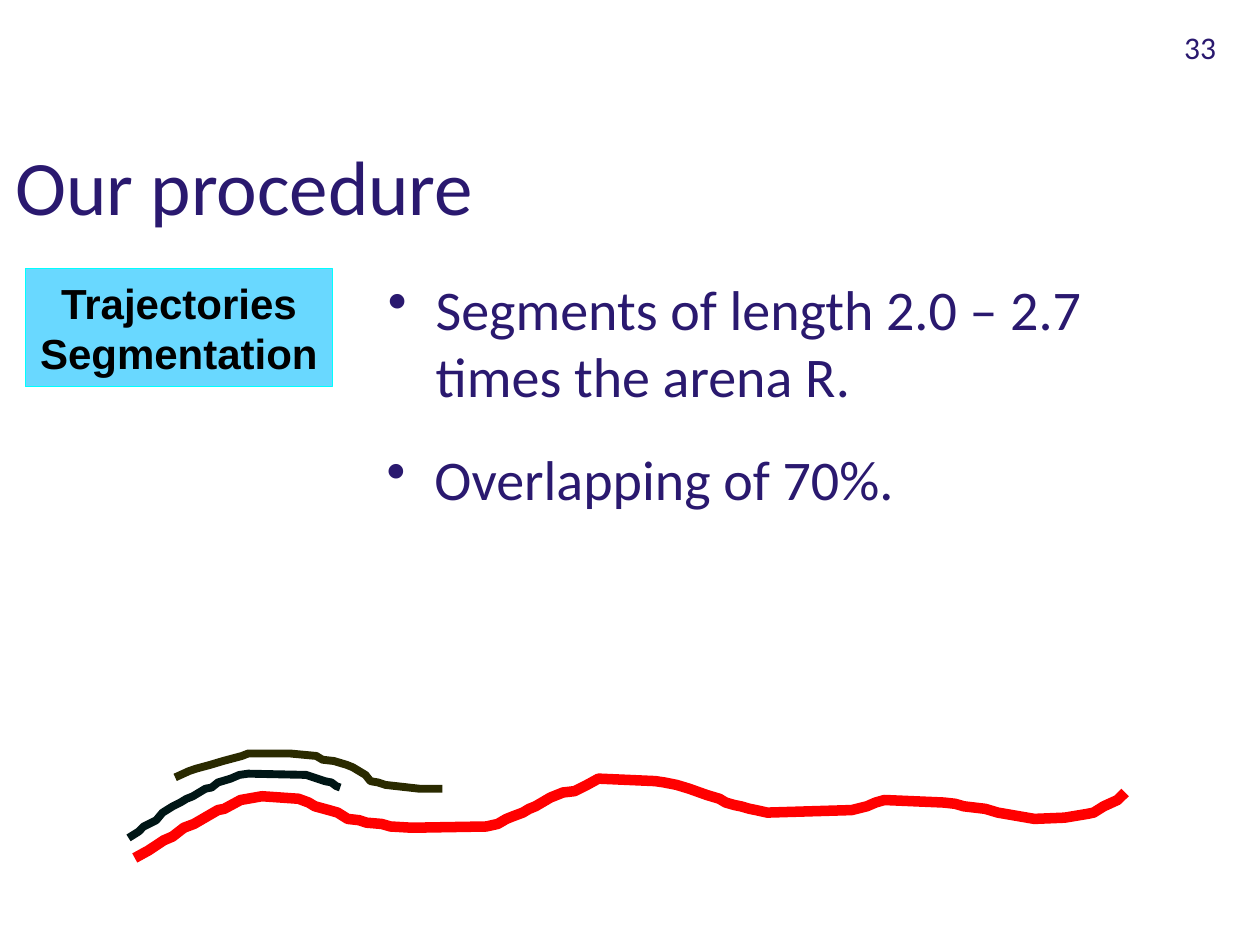
from lxml import etree
from pptx import Presentation
from pptx.dml.color import RGBColor
from pptx.enum.shapes import MSO_SHAPE
from pptx.enum.text import MSO_ANCHOR, PP_ALIGN
from pptx.oxml.ns import qn
from pptx.util import Inches, Pt

RECT = MSO_SHAPE.RECTANGLE
TOP, MIDDLE = MSO_ANCHOR.TOP, MSO_ANCHOR.MIDDLE
LEFT, CENTER, RIGHT = PP_ALIGN.LEFT, PP_ALIGN.CENTER, PP_ALIGN.RIGHT

COLORS = {
    "ink": "2A196F", "black": "000000", "box": "69D8FF", "edge": "00FFFF",
    "path": "FF0000", "first": "001616", "second": "2A2A00",
}
CELL = Inches(0.1)
POINT = Inches(0.01)

TRAJECTORY = [
    (107, 681), (118, 675), (130, 667), (137, 664), (146, 657), (154, 654),
    (173, 643), (178, 642), (191, 635), (208, 632), (237, 634), (245, 637),
    (250, 640), (261, 643), (268, 645), (276, 650), (285, 651), (291, 653),
    (303, 654), (310, 656), (327, 657), (386, 656), (395, 654), (402, 650),
    (407, 648), (415, 645), (420, 642), (425, 640), (437, 633), (447, 629),
    (456, 628), (466, 623), (475, 618), (520, 620), (527, 621), (537, 623),
    (547, 626), (561, 631), (571, 634), (576, 637), (583, 639), (588, 640),
    (595, 642), (600, 643), (609, 645), (676, 643), (688, 640), (695, 637),
    (702, 635), (749, 637), (758, 638), (765, 640), (782, 642), (792, 645),
    (821, 650), (845, 649), (863, 646), (868, 645), (876, 640), (887, 635),
    (893, 629),
]
FIRST_SEGMENT = [
    (102, 665), (110, 660), (114, 656), (124, 651), (129, 645), (137, 640),
    (143, 637), (148, 634), (153, 632), (163, 626), (168, 625), (173, 621),
    (183, 618), (190, 615), (197, 614), (243, 615), (258, 620), (263, 621),
    (267, 624), (270, 625),
]
SECOND_SEGMENT = [
    (139, 617), (150, 612), (156, 610), (167, 607), (177, 604), (192, 600),
    (197, 598), (230, 598), (251, 600), (256, 603), (265, 604), (275, 607),
    (280, 609), (290, 615), (294, 620), (300, 621), (306, 623), (333, 626),
    (351, 626),
]


class Deck:
    def __init__(self, prs):
        self.s = prs.slides.add_slide(prs.slide_layouts[5])

    def color(self, name):
        return RGBColor.from_string(COLORS[name])

    def grid(self, *cells):
        return [round(c * CELL) for c in cells]

    def fill_text(self, sp, lines, size, color="ink", align=LEFT, anchor=TOP,
                  bullet=False, **font):
        tf = sp.text_frame
        tf.word_wrap = True
        tf.vertical_anchor = anchor
        style = {"size": Pt(size), "name": "Calibri", **font}
        for i, line in enumerate(lines):
            p = tf.paragraphs[0] if i == 0 else tf.add_paragraph()
            p.alignment = align
            if bullet:
                pPr = p._p.get_or_add_pPr()
                pPr.set("marL", str(Inches(0.38)))
                pPr.set("indent", str(-Inches(0.38)))
                etree.SubElement(pPr, qn("a:buChar")).set("char", "•")
            r = p.add_run()
            r.text = line
            for key, value in style.items():
                setattr(r.font, key, value)
            r.font.color.rgb = self.color(color)
        return tf

    def title(self, text, *cells):
        sp = self.s.shapes.title
        sp.left, sp.top, sp.width, sp.height = self.grid(*cells)
        tf = self.fill_text(sp, [text], 44, anchor=MIDDLE)
        tf.paragraphs[0].line_spacing = 0.83

    def text(self, text, size, *cells, **style):
        sp = self.s.shapes.add_textbox(*self.grid(*cells))
        self.fill_text(sp, [text], size, **style)

    def box(self, lines, *cells):
        sp = self.s.shapes.add_shape(RECT, *self.grid(*cells))
        sp.shadow.inherit = False
        sp.fill.solid()
        sp.fill.fore_color.rgb = self.color("box")
        sp.line.color.rgb = self.color("edge")
        sp.line.width = Pt(0.75)
        tf = self.fill_text(sp, lines, 24, "black", CENTER, MIDDLE,
                            name="Arial", bold=True)
        tf.word_wrap = False

    def curve(self, points, color, width):
        fb = self.s.shapes.build_freeform(*points[0], scale=POINT)
        fb.add_line_segments(points[1:], close=False)
        sp = fb.convert_to_shape()
        sp.shadow.inherit = False
        sp.fill.background()
        sp.line.color.rgb = self.color(color)
        sp.line.width = Pt(width)


def main():
    prs = Presentation()
    prs.slide_width, prs.slide_height = 100 * CELL, 75 * CELL
    deck = Deck(prs)
    deck.title("Our procedure", 0.2, 11.1, 90, 8.3)
    deck.text("33", 18, 76.7, 1.7, 20.8, 5, align=RIGHT)
    deck.box(["Trajectories", "Segmentation"], 2, 21.3, 24.4, 9.4)
    points = ["Segments of length 2.0 – 2.7 times the arena R.",
              "Overlapping of 70%."]
    for i, point in enumerate(points):
        deck.text(point, 32, 29.8 - 0.1 * i, 21.3 + 13.5 * i, 67.7, 13.5,
                  bullet=True)
    deck.curve(TRAJECTORY, "path", 6)
    deck.curve(FIRST_SEGMENT, "first", 4.5)
    deck.curve(SECOND_SEGMENT, "second", 4.5)
    prs.save("out.pptx")


if __name__ == "__main__":
    main()
